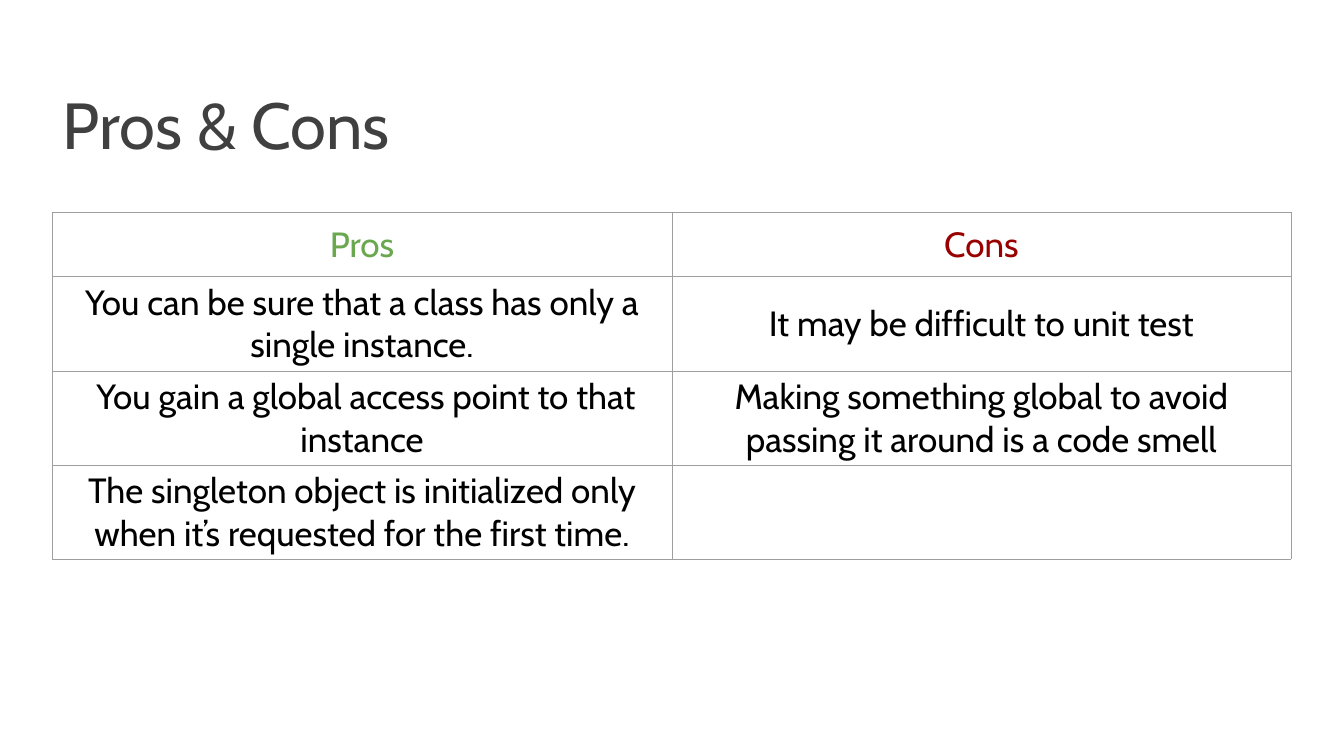
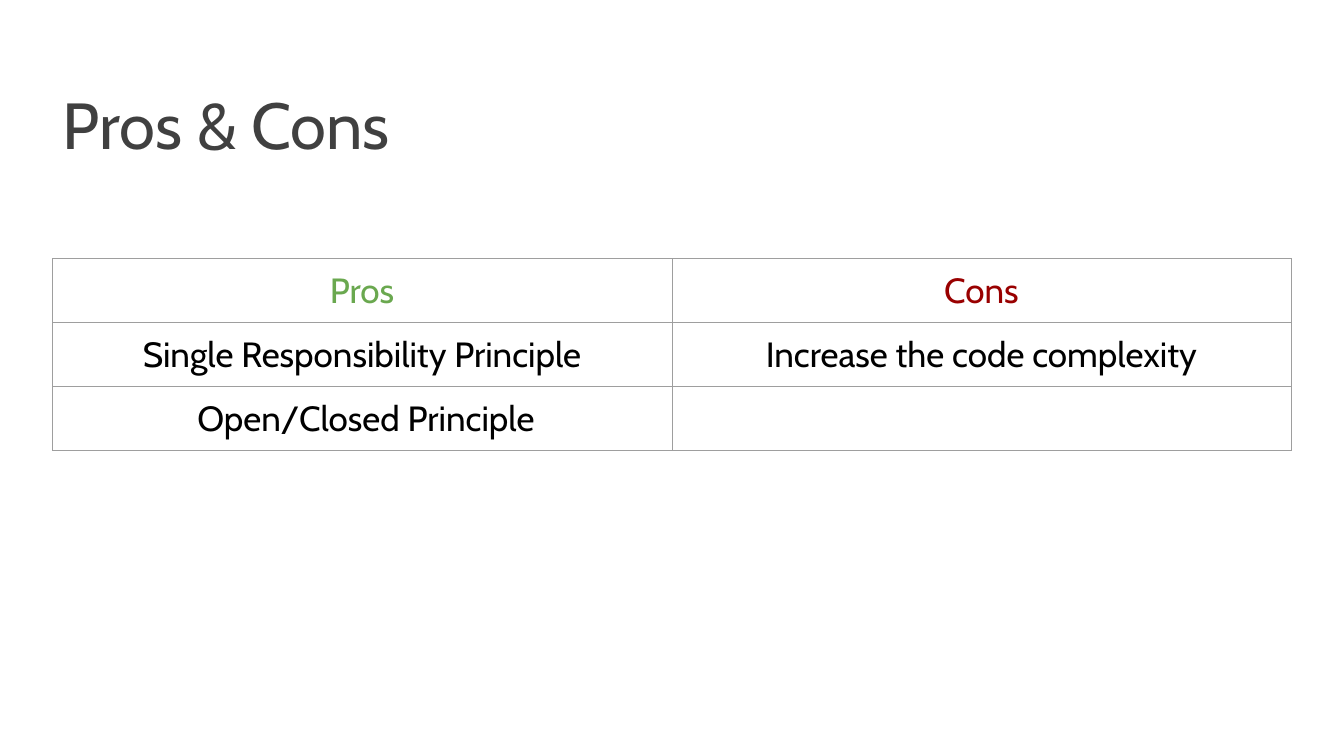
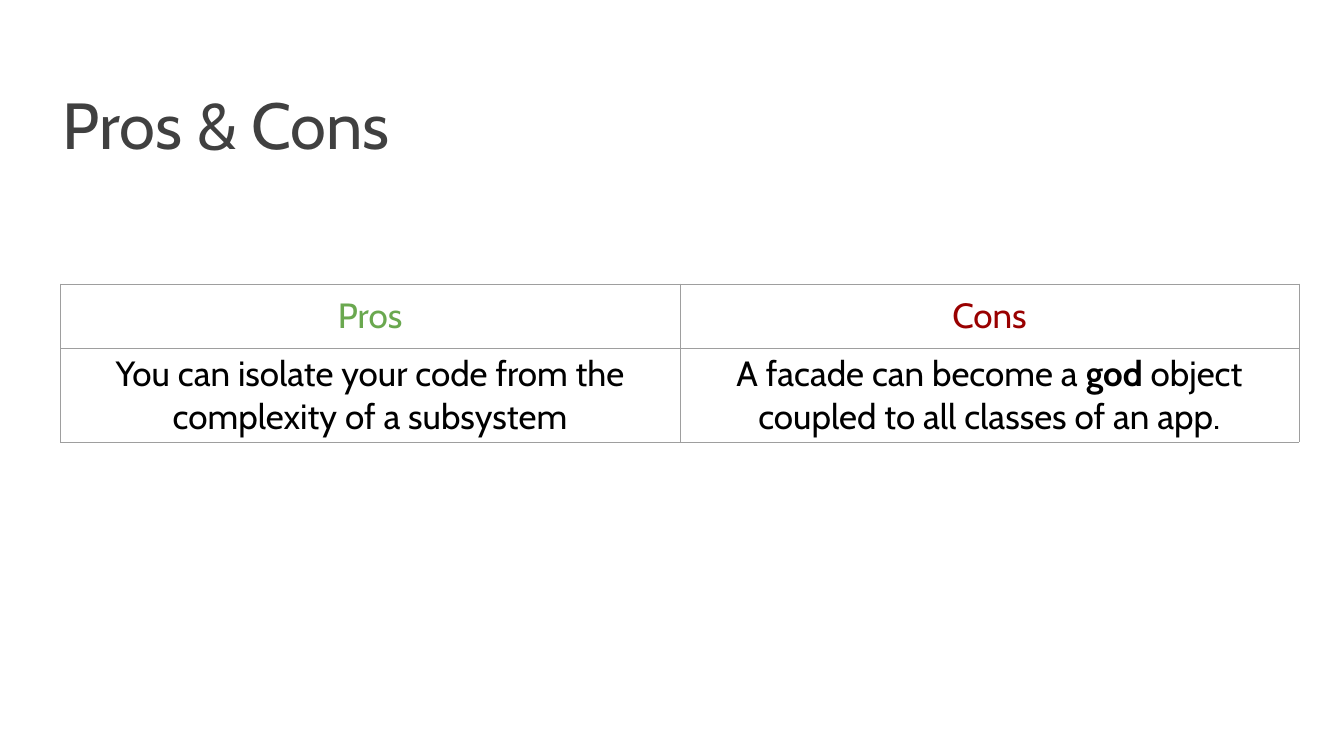
from lxml.etree import SubElement
from pptx import Presentation
from pptx.dml.color import RGBColor
from pptx.enum.text import MSO_ANCHOR, MSO_AUTO_SIZE, PP_ALIGN
from pptx.oxml.ns import qn
from pptx.util import Inches, Pt

FONT = "Cabin"
TITLE_GRAY = RGBColor(0x40, 0x40, 0x40)
PROS_GREEN = RGBColor(0x6A, 0xA8, 0x4F)
CONS_RED = RGBColor(0x99, 0x00, 0x00)
TEXT_BLACK = RGBColor(0x00, 0x00, 0x00)
BORDER_GRAY = RGBColor(0x9E, 0x9E, 0x9E)

TITLE = "Pros & Cons"
HEADERS = [("Pros", PROS_GREEN), ("Cons", CONS_RED)]
COLUMN_WIDTH = 12.29
ROW_HEIGHT = 1.27
TITLE_ONLY_LAYOUT = 5

COMPARISONS = [
    {
        "position": (1.04, 4.22),
        "rows": [
            ("You can be sure that a class has only a single instance.",
             "It may be difficult to unit test"),
            (" You gain a global access point to that instance",
             "Making something global to avoid passing it around is a code smell"),
            ("The singleton object is initialized only when it’s requested for the first time.",
             ""),
        ],
    },
    {
        "position": (1.04, 5.13),
        "rows": [
            ("Single Responsibility Principle", "Increase the code complexity"),
            (" Open/Closed Principle", ""),
        ],
    },
    {
        "position": (1.2, 5.63),
        "rows": [
            ("You can isolate your code from the complexity of a subsystem",
             [("A facade can become a ", False), ("god ", True),
              ("object coupled to all classes of an app.", False)]),
        ],
    },
]


def add_span(para, text, size, color, bold=False):
    """Append one formatted run to a paragraph."""
    span = para.add_run()
    span.text = text
    span.font.name = FONT
    span.font.size = Pt(size)
    span.font.color.rgb = color
    span.font.bold = bold


def add_title(page):
    """Place and fill the title placeholder."""
    box = page.shapes.title
    box.left, box.top = Inches(0.98), Inches(1.41)
    box.width, box.height = Inches(24.01), Inches(2.11)
    frame = box.text_frame
    frame.margin_left = frame.margin_right = Inches(0.27)
    frame.margin_top = frame.margin_bottom = Inches(0.27)
    frame.word_wrap = True
    frame.auto_size = MSO_AUTO_SIZE.SHAPE_TO_FIT_TEXT
    frame.vertical_anchor = MSO_ANCHOR.TOP
    para = frame.paragraphs[0]
    para.alignment = PP_ALIGN.LEFT
    add_span(para, TITLE, 93, TITLE_GRAY)


def add_borders(cell):
    """Draw a thin line on all four sides of a cell."""
    properties = cell._tc.get_or_add_tcPr()
    for side in ("lnL", "lnR", "lnT", "lnB"):
        line = SubElement(properties, qn(f"a:{side}"), w=str(Pt(0.75)))
        fill = SubElement(line, qn("a:solidFill"))
        SubElement(fill, qn("a:srgbClr"), val=str(BORDER_GRAY))


def fill_cell(cell, content, color):
    """Format a cell and write its text, given plain or as (text, bold) spans."""
    add_borders(cell)
    cell.fill.background()
    cell.vertical_anchor = MSO_ANCHOR.MIDDLE
    cell.margin_left = cell.margin_right = Inches(0.1)
    cell.margin_top = cell.margin_bottom = Inches(0.1)
    para = cell.text_frame.paragraphs[0]
    para.alignment = PP_ALIGN.CENTER
    spans = [(content, False)] if isinstance(content, str) else content
    for text, bold in spans:
        if text:
            add_span(para, text, 50, color, bold)


def add_comparison(page, position, rows):
    """Add the table of pros and cons."""
    left, top = position
    row_count, column_count = len(rows) + 1, len(HEADERS)
    table = page.shapes.add_table(
        row_count, column_count, Inches(left), Inches(top),
        Inches(COLUMN_WIDTH * column_count), Inches(ROW_HEIGHT * row_count)).table
    table.first_row = table.horz_banding = False
    for column in table.columns:
        column.width = Inches(COLUMN_WIDTH)
    for row in table.rows:
        row.height = Inches(ROW_HEIGHT)
    for column, (header, color) in enumerate(HEADERS):
        fill_cell(table.cell(0, column), header, color)
    for row, contents in enumerate(rows, start=1):
        for column, content in enumerate(contents):
            fill_cell(table.cell(row, column), content, TEXT_BLACK)


def main():
    """Build and save the deck."""
    deck = Presentation()
    deck.slide_width, deck.slide_height = Inches(26.67), Inches(15)
    for comparison in COMPARISONS:
        page = deck.slides.add_slide(deck.slide_layouts[TITLE_ONLY_LAYOUT])
        add_title(page)
        add_comparison(page, **comparison)
    deck.save("out.pptx")


if __name__ == "__main__":
    main()
